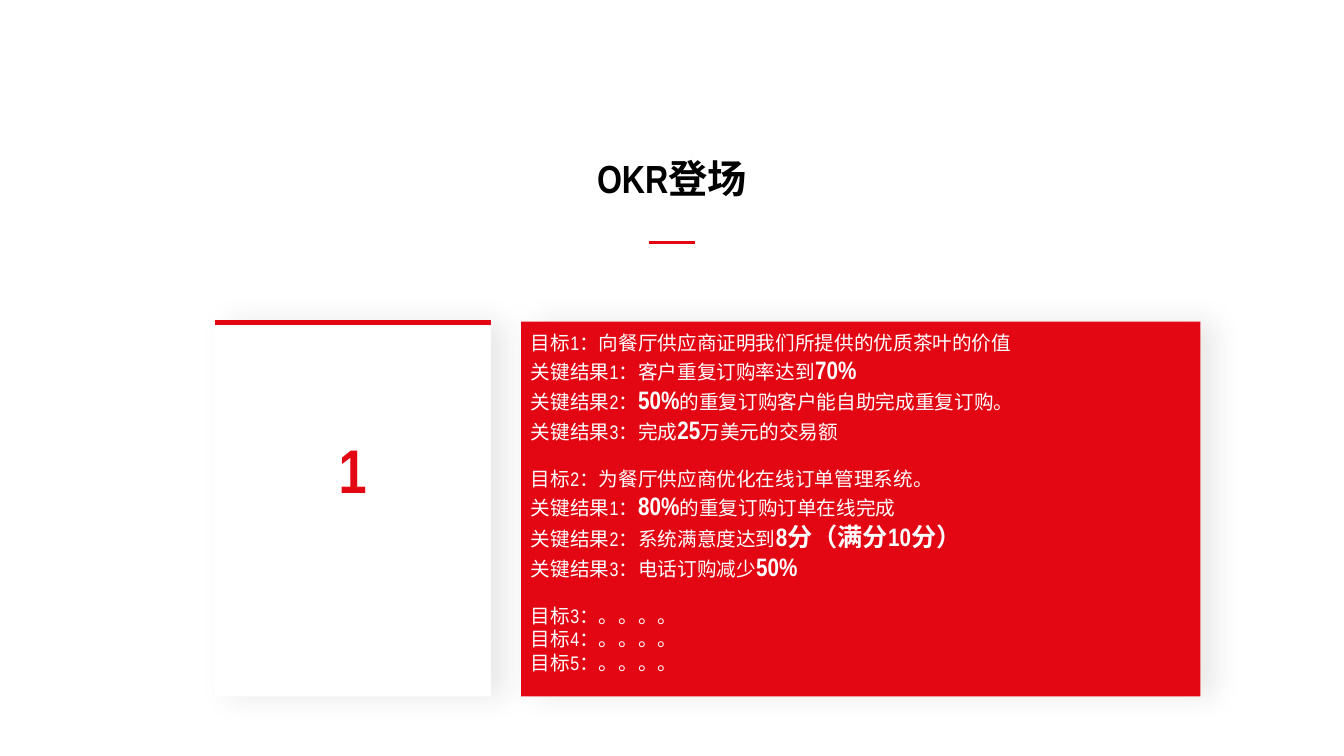
"""Build the OKR introduction slide."""
from dataclasses import dataclass

from lxml.etree import SubElement
from pptx import Presentation
from pptx.dml.color import RGBColor
from pptx.enum.shapes import MSO_CONNECTOR, MSO_SHAPE
from pptx.enum.text import MSO_AUTO_SIZE, PP_ALIGN
from pptx.oxml.ns import qn
from pptx.slide import Slide
from pptx.text.text import TextFrame, _Run as Run
from pptx.util import Pt

RED = RGBColor(0xE3, 0x06, 0x13)
WHITE = RGBColor(0xFF, 0xFF, 0xFF)
BLACK = RGBColor(0x00, 0x00, 0x00)
SHADOW = RGBColor(0x26, 0x26, 0x26)
FONT = "Arial Narrow"
BODY_SIZE, KEY_SIZE = 14, 18
GOAL_GAP = 16
CARD_TOP, CARD_HEIGHT = 229.7, 267.8


@dataclass(frozen=True)
class Card:
    left: float
    width: float
    color: RGBColor


@dataclass(frozen=True)
class Rule:
    left: float
    right: float
    y: float
    weight: float


@dataclass(frozen=True)
class Heading:
    text: str
    left: float
    top: float
    width: float
    height: float
    size: float
    color: RGBColor
    wrap: bool


@dataclass(frozen=True)
class Line:
    before: str
    key: str = ""
    after: str = ""


NUMBER_CARD = Card(153.4, 197.3, WHITE)
GOALS_CARD = Card(372.2, 485.3, RED)
RULES = [Rule(153.4, 350.7, 230.4, 3), Rule(463.7, 496.1, 173.5, 2)]
HEADINGS = [
    Heading("1", 234.7, 305.3, 34.6, 60.5, 44, RED, False),
    Heading("OKR登场", 183.6, 106.6, 592.6, 54, 28, BLACK, True),
]
GOAL_GROUPS = [
    [
        Line("目标1：向餐厅供应商证明我们所提供的优质茶叶的价值"),
        Line("关键结果1：客户重复订购率达到", "70%"),
        Line("关键结果2：", "50%", "的重复订购客户能自助完成重复订购。"),
        Line("关键结果3：完成", "25", "万美元的交易额"),
    ],
    [
        Line("目标2：为餐厅供应商优化在线订单管理系统。"),
        Line("关键结果1：", "80%", "的重复订购订单在线完成"),
        Line("关键结果2：系统满意度达到", "8分（满分10分）"),
        Line("关键结果3：电话订购减少", "50%"),
    ],
    [Line(f"目标{number}：。。。。") for number in (3, 4, 5)],
]


def style_run(run: Run, size: float, color: RGBColor, bold: bool) -> None:
    """Give a run its font, size, colour and weight."""
    run.font.name = FONT
    run.font.size = Pt(size)
    run.font.bold = bold
    run.font.color.rgb = color


def add_card(slide: Slide, card: Card) -> None:
    """Draw a square-cornered card with a soft shadow to its right."""
    panel = slide.shapes.add_shape(
        MSO_SHAPE.ROUNDED_RECTANGLE,
        Pt(card.left), Pt(CARD_TOP), Pt(card.width), Pt(CARD_HEIGHT),
    )
    panel.adjustments[0] = 0
    panel.fill.solid()
    panel.fill.fore_color.rgb = card.color
    panel.line.fill.background()
    panel.shadow.inherit = False
    effects = panel._element.spPr.find(qn("a:effectLst"))
    shadow = SubElement(
        effects, qn("a:outerShdw"),
        blurRad=str(Pt(20)), dist=str(Pt(10)), dir="0", algn="l", rotWithShape="0",
    )
    tint = SubElement(shadow, qn("a:srgbClr"), val=str(SHADOW))
    SubElement(tint, qn("a:alpha"), val="10000")


def add_rule(slide: Slide, rule: Rule) -> None:
    """Draw a horizontal red rule."""
    stroke = slide.shapes.add_connector(
        MSO_CONNECTOR.STRAIGHT, Pt(rule.left), Pt(rule.y), Pt(rule.right), Pt(rule.y)
    )
    stroke.line.color.rgb = RED
    stroke.line.width = Pt(rule.weight)
    SubElement(stroke._element.spPr, qn("a:effectLst"))


def add_frame(
    slide: Slide, left: float, top: float, width: float, height: float, wrap: bool
) -> TextFrame:
    """Add a text box that grows with its text and return its frame."""
    frame = slide.shapes.add_textbox(Pt(left), Pt(top), Pt(width), Pt(height)).text_frame
    frame.word_wrap = wrap
    frame.auto_size = MSO_AUTO_SIZE.SHAPE_TO_FIT_TEXT
    return frame


def add_heading(slide: Slide, heading: Heading) -> None:
    """Write a centred bold heading."""
    frame = add_frame(
        slide, heading.left, heading.top, heading.width, heading.height, heading.wrap
    )
    frame.text = heading.text
    paragraph = frame.paragraphs[0]
    paragraph.alignment = PP_ALIGN.CENTER
    style_run(paragraph.runs[0], heading.size, heading.color, True)


def add_goals(slide: Slide) -> None:
    """Write the goals with their key results, one group after another."""
    frame = add_frame(slide, GOALS_CARD.left, 232.6, GOALS_CARD.width, 278.6, True)
    lines = [line for group in GOAL_GROUPS for line in group]
    frame.text = "\n".join(line.before for line in lines)
    group_starts = [group[0] for group in GOAL_GROUPS[1:]]
    for paragraph, line in zip(frame.paragraphs, lines):
        if line in group_starts:
            paragraph.space_before = Pt(GOAL_GAP)
        style_run(paragraph.runs[0], BODY_SIZE, WHITE, False)
        for text, size, bold in ((line.key, KEY_SIZE, True), (line.after, BODY_SIZE, False)):
            if text:
                run = paragraph.add_run()
                run.text = text
                style_run(run, size, WHITE, bold)


def main() -> None:
    """Assemble the slide and save it."""
    deck = Presentation()
    deck.slide_width, deck.slide_height = Pt(960), Pt(540)
    slide = deck.slides.add_slide(deck.slide_layouts[6])
    for card in (NUMBER_CARD, GOALS_CARD):
        add_card(slide, card)
    for rule in RULES:
        add_rule(slide, rule)
    for heading in HEADINGS:
        add_heading(slide, heading)
    add_goals(slide)
    deck.save("out.pptx")


if __name__ == "__main__":
    main()
